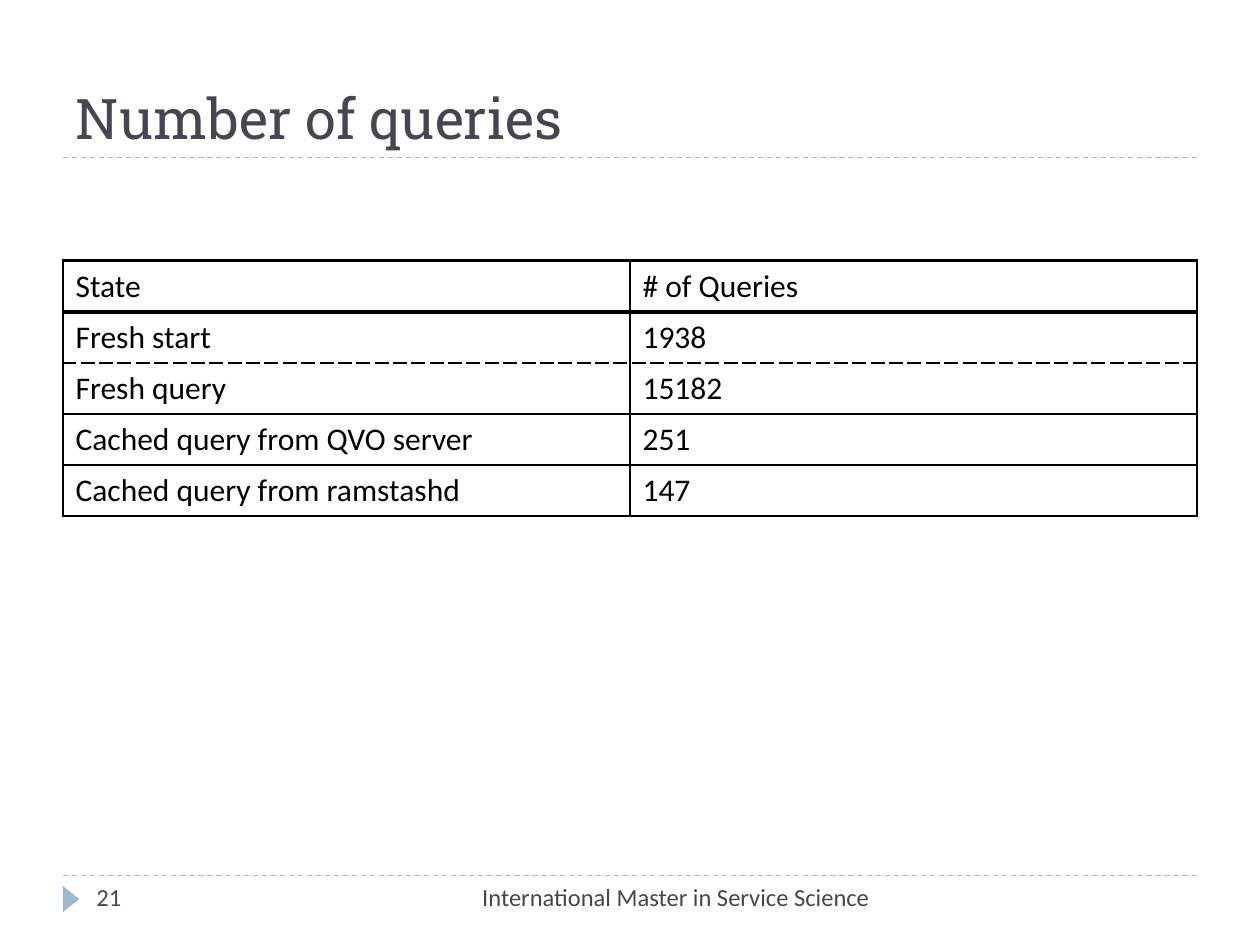
"""Build the slide with a table of query counts."""
from dataclasses import dataclass

from lxml import etree
from pptx import Presentation
from pptx.dml.color import RGBColor
from pptx.enum.dml import MSO_LINE
from pptx.enum.shapes import MSO_CONNECTOR, MSO_SHAPE
from pptx.enum.text import MSO_ANCHOR, MSO_AUTO_SIZE, PP_ALIGN
from pptx.oxml.ns import qn
from pptx.util import Pt

DASH = MSO_LINE.DASH
STRAIGHT = MSO_CONNECTOR.STRAIGHT
TRIANGLE = MSO_SHAPE.ISOSCELES_TRIANGLE
TOP, BOTTOM = MSO_ANCHOR.TOP, MSO_ANCHOR.BOTTOM
LEFT, RIGHT = PP_ALIGN.LEFT, PP_ALIGN.RIGHT
NO_FIT = MSO_AUTO_SIZE.NONE

INK = RGBColor(0x46, 0x46, 0x53)
ACCENT = RGBColor(0x9F, 0xB8, 0xCD)
BLACK = RGBColor(0, 0, 0)

MARGIN, CONTENT_WIDTH = 36, 648
TITLE_RULE, FOOTER_RULE = 90, 500.4
TABLE_TOP, ROW_HEIGHT = 149, 29.2
ROWS = [
    ("State", "# of Queries"),
    ("Fresh start", "1938"),
    ("Fresh query", "15182"),
    ("Cached query from QVO server", "251"),
    ("Cached query from ramstashd", "147"),
]


@dataclass(frozen=True)
class Border:
    width: float = 1
    dash: str = "solid"


@dataclass(frozen=True)
class Label:
    text: str
    left: float
    width: float
    align: PP_ALIGN


THIN = Border()
THICK = Border(2.25)
DASHED = Border(1, "sysDash")
ROW_EDGES = [THICK, THICK, DASHED, THIN, THIN, THIN]
FOOTERS = [
    Label("International Master in Service Science", 228, 276, RIGHT),
    Label("21", 48, 156, LEFT),
]


def set_text(frame, text: str, size: float, color: RGBColor,
             font: str = "Calibri", align: PP_ALIGN = LEFT) -> None:
    para = frame.paragraphs[0]
    para.alignment = align
    span = para.add_run()
    span.text = text
    span.font.color.rgb = color
    for name, value in {"name": font, "size": Pt(size), "bold": False}.items():
        setattr(span.font, name, value)


def set_frame(frame, anchor: MSO_ANCHOR) -> None:
    settings = {"word_wrap": True, "auto_size": NO_FIT, "vertical_anchor": anchor}
    for name, value in settings.items():
        setattr(frame, name, value)


def place(shape, left: float, top: float, width: float, height: float) -> None:
    bounds = {"left": left, "top": top, "width": width, "height": height}
    for name, value in bounds.items():
        setattr(shape, name, Pt(value))


def add_rule(page, top: float) -> None:
    rule = page.shapes.add_connector(
        STRAIGHT, Pt(MARGIN), Pt(top), Pt(MARGIN + CONTENT_WIDTH), Pt(top))
    rule.line.color.rgb = ACCENT
    rule.line.width = Pt(0.75)
    rule.line.dash_style = DASH
    etree.SubElement(rule._element.spPr, qn("a:effectLst"))


def add_title(page) -> None:
    title = page.shapes.title
    place(title, MARGIN, 12.24, CONTENT_WIDTH, 77.76)
    set_frame(title.text_frame, BOTTOM)
    set_text(title.text_frame, "Number of queries", 32, INK, "Roboto Slab")


def add_marker(page) -> None:
    marker = page.shapes.add_shape(TRIANGLE, Pt(33.1), Pt(509), Pt(15), Pt(9.4))
    marker.rotation = 90
    marker.shadow.inherit = False
    marker.fill.solid()
    marker.fill.fore_color.rgb = ACCENT
    marker.line.fill.background()


def add_footer(page, label: Label) -> None:
    box = page.shapes.add_textbox(
        Pt(label.left), Pt(FOOTER_RULE), Pt(label.width), Pt(28.8))
    set_frame(box.text_frame, TOP)
    set_text(box.text_frame, label.text, 14, INK, align=label.align)


def set_border(cell, side: str, border: Border) -> None:
    properties = cell._tc.get_or_add_tcPr()
    line = etree.SubElement(properties, qn(f"a:ln{side}"), w=str(Pt(border.width)))
    fill = etree.SubElement(line, qn("a:solidFill"))
    etree.SubElement(fill, qn("a:srgbClr"), val=str(BLACK))
    etree.SubElement(line, qn("a:prstDash"), val=border.dash)


def add_query_table(page) -> None:
    table = page.shapes.add_table(
        len(ROWS), len(ROWS[0]), Pt(MARGIN), Pt(TABLE_TOP),
        Pt(CONTENT_WIDTH), Pt(ROW_HEIGHT * len(ROWS))).table
    table.first_row = table.horz_banding = False
    for row, values in enumerate(ROWS):
        edges = {"L": THIN, "R": THIN, "T": ROW_EDGES[row], "B": ROW_EDGES[row + 1]}
        for column, value in enumerate(values):
            cell = table.cell(row, column)
            for side, border in edges.items():
                set_border(cell, side, border)
            cell.fill.background()
            set_text(cell.text_frame, value, 18, BLACK)


def main() -> None:
    deck = Presentation()
    deck.slide_width, deck.slide_height = Pt(720), Pt(540)
    page = deck.slides.add_slide(deck.slide_layouts[5])
    for top in (FOOTER_RULE, TITLE_RULE):
        add_rule(page, top)
    add_marker(page)
    add_title(page)
    for label in FOOTERS:
        add_footer(page, label)
    add_query_table(page)
    deck.save("out.pptx")


if __name__ == "__main__":
    main()
